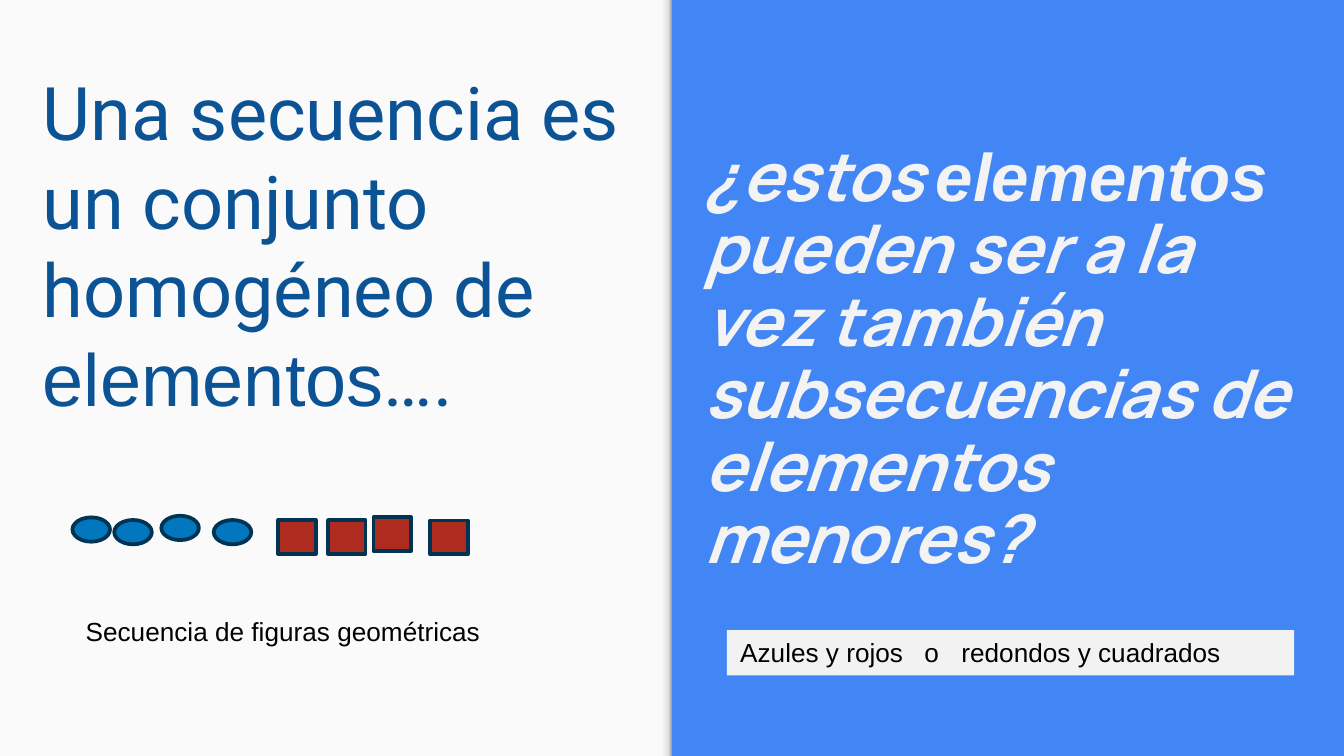
from lxml.etree import SubElement
from pptx import Presentation
from pptx.dml.color import RGBColor
from pptx.enum.shapes import MSO_SHAPE
from pptx.enum.text import MSO_ANCHOR, MSO_AUTO_SIZE, PP_ALIGN
from pptx.oxml.ns import qn
from pptx.util import Cm, Pt

PAPER = RGBColor(0xFA, 0xFA, 0xFA)
SKY = RGBColor(0x42, 0x85, 0xF4)
NAVY = RGBColor(0x0B, 0x53, 0x94)
PALE = RGBColor(0xF3, 0xF3, 0xF3)
LABEL = RGBColor(0xF2, 0xF2, 0xF2)
BLUE = RGBColor(0x02, 0x77, 0xBD)
RED = RGBColor(0xAE, 0x2B, 0x1F)
EDGE = RGBColor(0x01, 0x34, 0x53)
BLACK = RGBColor(0, 0, 0)

# Content: paragraphs are lists of (text, font) runs
TITLE = [[("Una secuencia es un conjunto homogéneo de ", "Roboto"),
          ("elementos", "Arial"), ("….", "Roboto")]]
QUESTION = [
    [("¿estos ", "Manrope"), ("elementos", "Arial")],
    [("pueden ser a la vez también subsecuencias de elementos menores?",
      "Manrope")],
]
CAPTION = [[("Secuencia de figuras geométricas", "Arial")]]
ANSWER = [[("Azules y rojos\to\tredondos y cuadrados", "Arial")]]
STOPS = [(0, "F9F9F9"), (36, "F9F9F9"), (80, "DEDEDE"), (100, "999999")]

# Figures: kind, colour, height, (left, top) of each; cm
WIDE = 0.71
FIGURES = [
    (MSO_SHAPE.OVAL, BLUE, 0.46,
     [(1.37, 9.78), (2.16, 9.83), (3.05, 9.75), (4.04, 9.83)]),
    (MSO_SHAPE.RECTANGLE, RED, 0.64,
     [(5.26, 9.83), (6.2, 9.83), (7.06, 9.78), (8.13, 9.84)]),
]

W, H = 25.4, 14.29
HALF = W / 2
SHADE = 0.3

deck = Presentation()
deck.slide_width, deck.slide_height = Cm(W), Cm(H)
slide = deck.slides.add_slide(deck.slide_layouts[6])
slide.background.fill.solid()
slide.background.fill.fore_color.rgb = SKY


def draw(kind, x, y, w, h, fill=None, edge=None):
    shape = slide.shapes.add_shape(kind, Cm(x), Cm(y), Cm(w), Cm(h))
    shape.shadow.inherit = False
    if fill is not None:
        shape.fill.solid()
        shape.fill.fore_color.rgb = fill
    if edge is None:
        shape.line.fill.background()
    else:
        shape.line.color.rgb = edge
        shape.line.width = Pt(2)
    return shape


def write(shape, text, size=14, color=BLACK, slant=False, space=None,
          anchor=MSO_ANCHOR.TOP, wrap=True, grow=False, tabs=()):
    frame = shape.text_frame
    frame.word_wrap = wrap
    frame.vertical_anchor = anchor
    frame.auto_size = (MSO_AUTO_SIZE.SHAPE_TO_FIT_TEXT if grow
                       else MSO_AUTO_SIZE.NONE)
    if not grow:
        frame.margin_left = frame.margin_right = Cm(0.25)
        frame.margin_top = frame.margin_bottom = Cm(0.25)
    for i, runs in enumerate(text):
        para = frame.add_paragraph() if i else frame.paragraphs[0]
        para.alignment = PP_ALIGN.LEFT
        if space:
            para.line_spacing = space
        if tabs:
            stops = SubElement(para._p.get_or_add_pPr(), qn("a:tabLst"))
            for pos in tabs:
                SubElement(stops, qn("a:tab"), pos=str(Cm(pos)), algn="l")
        for words, name in runs:
            run = para.add_run()
            run.text = words
            font = run.font
            font.name, font.size = name, Pt(size)
            font.bold = font.italic = slant
            font.color.rgb = color


def box(x, y, w, h):
    return slide.shapes.add_textbox(Cm(x), Cm(y), Cm(w), Cm(h))


# Left panel with a shaded strip along its right edge
draw(MSO_SHAPE.RECTANGLE, 0, 0, HALF, H, PAPER)
strip = draw(MSO_SHAPE.RECTANGLE, HALF - SHADE / 2 - H / 2,
             H / 2 - SHADE / 2, H, SHADE)
strip.rotation = 90
strip.fill.gradient()
strip.fill.gradient_angle = 90
shades = strip._element.spPr.find(".//" + qn("a:gsLst"))
shades.clear()
for pos, tone in STOPS:
    stop = SubElement(shades, qn("a:gs"), pos=str(pos * 1000))
    SubElement(stop, qn("a:srgbClr"), val=tone)

# Headings
write(box(0.56, 0.51, 11.96, 8.2), TITLE, size=39.6, color=NAVY,
      anchor=MSO_ANCHOR.MIDDLE)
write(box(13.06, 1.55, 11.96, 10.54), QUESTION, size=36, color=PALE,
      slant=True, space=0.9, anchor=MSO_ANCHOR.MIDDLE)

# Sequence of figures
for kind, fill, tall, spots in FIGURES:
    for x, y in spots:
        draw(kind, x, y, WIDE, tall, fill, EDGE)

# Labels
write(box(1.37, 11.51, 8, 0.86), CAPTION, wrap=False, grow=True)
write(draw(MSO_SHAPE.RECTANGLE, 13.74, 11.91, 10.72, 0.86, LABEL), ANSWER,
      grow=True, tabs=(3.48, 4.18))

deck.save("out.pptx")
